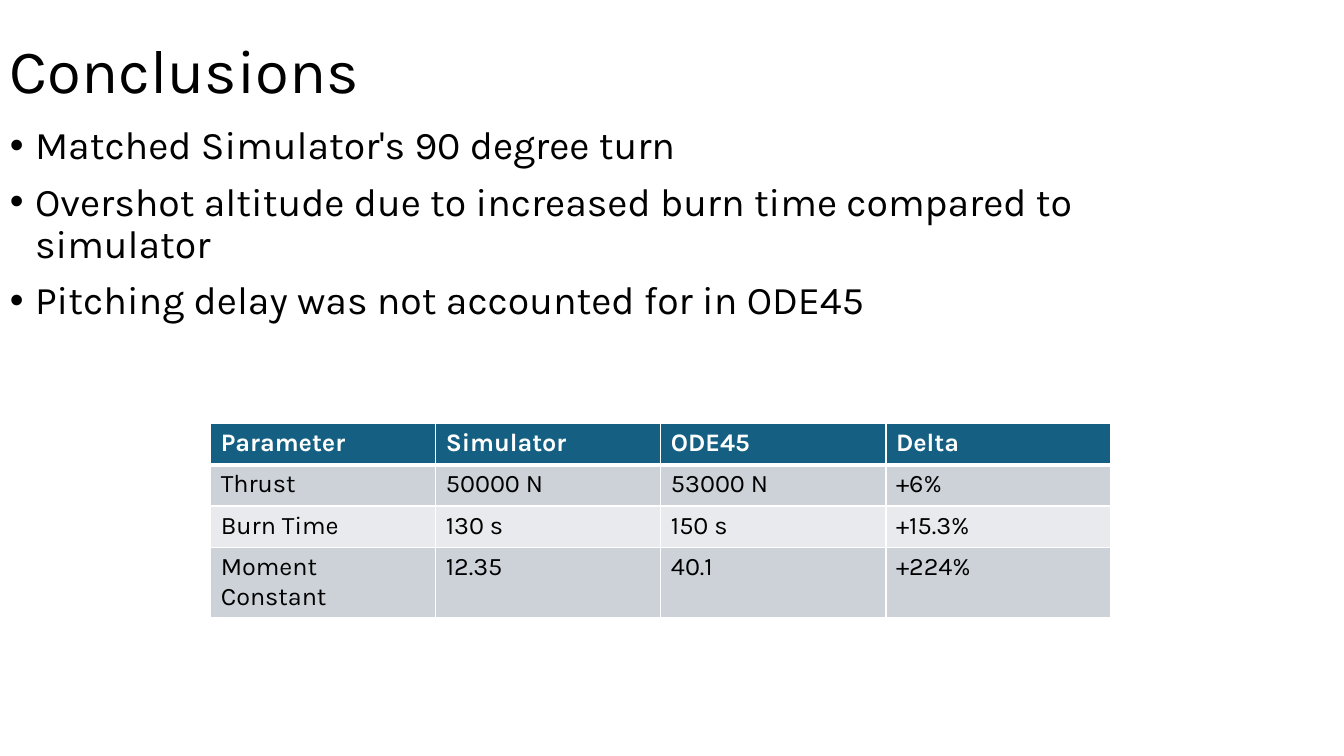
"""Build the Conclusions slide with its bullets and parameter comparison table."""
import pptx
import pptx.dml.color
import pptx.enum.text
import pptx.oxml
import pptx.oxml.ns
import pptx.util
from pptx.util import Inches

COLORS = {"text": "000000", "white": "FFFFFF", "header": "156082",
          "odd": "CCD2D8", "even": "E8EAED"}
NS = pptx.oxml.ns.nsdecls("a")


def write(p, text, size=18, color="text", bold=False, spacing=1.0, before=0, bullet=None):
    p.line_spacing = spacing
    p.space_before = pptx.util.Pt(before)
    r = p.add_run()
    r.text = text
    r.font.name = "Karla"
    r.font.size = pptx.util.Pt(size)
    r.font.bold = bold
    r.font.color.rgb = pptx.dml.color.RGBColor.from_string(COLORS[color])
    if bullet:
        pPr = p._p.get_or_add_pPr()
        pPr.set("marL", str(Inches(0.25)))
        pPr.set("indent", str(Inches(-0.25)))
        pPr.append(pptx.oxml.parse_xml(f'<a:buFont {NS} typeface="Arial"/>'))
        pPr.append(pptx.oxml.parse_xml(f'<a:buChar {NS} char="{bullet}"/>'))


def add_border(cell, side, width):
    cell._tc.get_or_add_tcPr().append(pptx.oxml.parse_xml(
        f'<a:{side} {NS} w="{pptx.util.Pt(width)}"><a:solidFill>'
        f'<a:srgbClr val="{COLORS["white"]}"/></a:solidFill></a:{side}>'))


prs = pptx.Presentation()
prs.slide_width = Inches(13.33)
prs.slide_height = Inches(7.5)
s = prs.slides.add_slide(prs.slide_layouts[6])

title = s.shapes.add_textbox(Inches(0), Inches(0), Inches(11.5), Inches(1.45))
tf = title.text_frame
tf.word_wrap = True
tf.vertical_anchor = pptx.enum.text.MSO_ANCHOR.MIDDLE
write(tf.paragraphs[0], "Conclusions", size=44, spacing=0.9)

bullets = [
    "Matched Simulator's 90 degree turn",
    "Overshot altitude due to increased burn time compared to simulator",
    "Pitching delay was not accounted for in ODE45",
]
body = s.shapes.add_textbox(Inches(0), Inches(1.2), Inches(11.5), Inches(4.76))
tf = body.text_frame
tf.word_wrap = True
for i, text in enumerate(bullets):
    p = tf.add_paragraph() if i else tf.paragraphs[0]
    write(p, text, size=28, spacing=0.9, before=10, bullet="•")

rows = [
    ["Parameter", "Simulator", "ODE45", "Delta"],
    ["Thrust", "50000 N", "53000 N", "+6%"],
    ["Burn Time", "130 s", "150 s", "+15.3%"],
    ["Moment Constant", "12.35", "40.1", "+224%"],
]
table = s.shapes.add_table(len(rows), len(rows[0]), Inches(2.09), Inches(4.2),
                           Inches(8.93), Inches(1.64)).table
for i, row in enumerate(rows):
    header = i == 0
    fill = "header" if header else "odd" if i % 2 else "even"
    for j, text in enumerate(row):
        cell = table.cell(i, j)
        write(cell.text_frame.paragraphs[0], text,
              color="white" if header else "text", bold=header)
        for side in ("lnL", "lnR", "lnT", "lnB"):
            heavy = (i, side) in ((0, "lnB"), (1, "lnT"))
            add_border(cell, side, 3 if heavy else 1)
        cell.fill.solid()
        cell.fill.fore_color.rgb = pptx.dml.color.RGBColor.from_string(COLORS[fill])

prs.save("out.pptx")
